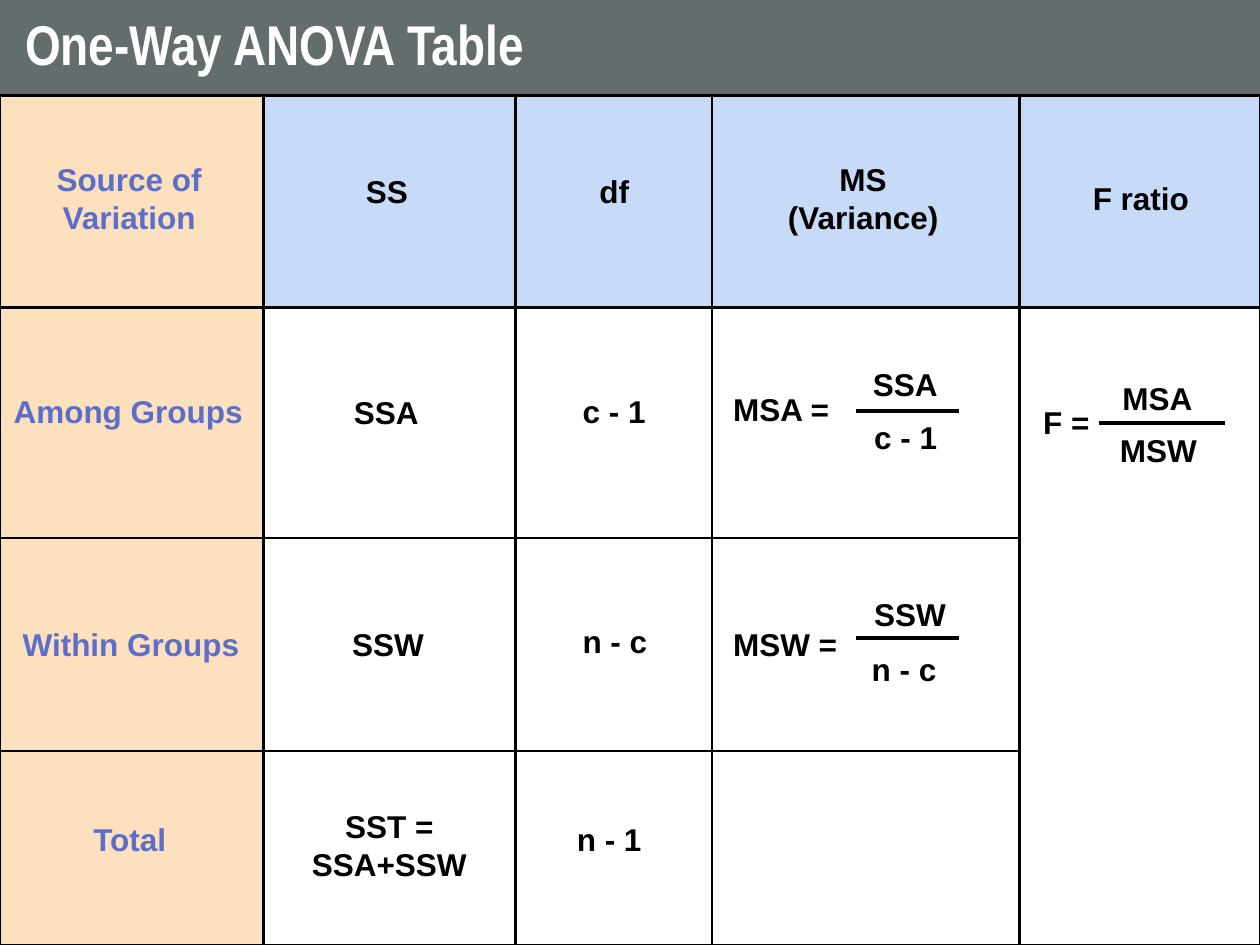
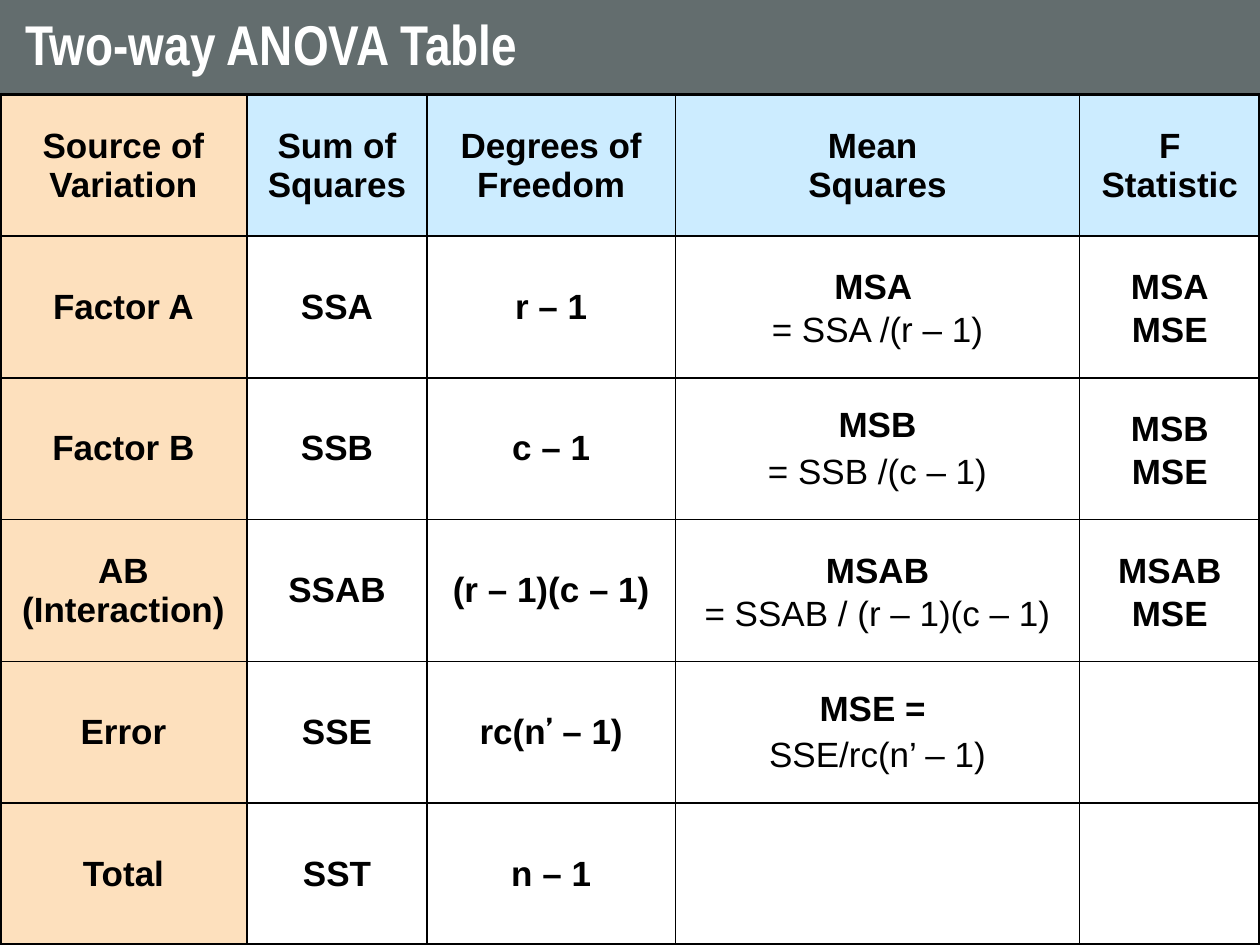
from lxml import etree
from pptx import Presentation
from pptx.dml.color import RGBColor
from pptx.enum.shapes import MSO_CONNECTOR, MSO_SHAPE
from pptx.enum.text import MSO_ANCHOR, MSO_AUTO_SIZE, PP_ALIGN
from pptx.oxml.ns import qn
from pptx.util import Pt

PX = 9144  # 100 px to the inch
RECT, STRAIGHT = MSO_SHAPE.RECTANGLE, MSO_CONNECTOR.STRAIGHT
LEFT, CENTER = PP_ALIGN.LEFT, PP_ALIGN.CENTER
MIDDLE, NO_FIT = MSO_ANCHOR.MIDDLE, MSO_AUTO_SIZE.NONE

BLACK, WHITE = "000000", "FFFFFF"
SLATE, PEACH, PURPLE = "636D6E", "FDE0BD", "5D6EC9"
BLUE, SKY = "C7DAF7", "CCECFF"


def rgb(value):
    return RGBColor.from_string(value)


def add_text(p, text, size, color=BLACK, bold=True, font="Arial"):
    for i, part in enumerate(text.split("\n")):
        if i:
            p.add_line_break()
        if part:
            r = p.add_run()
            r.text = part
            r.font.size, r.font.bold, r.font.name = Pt(size), bold, font
            r.font.color.rgb = rgb(color)


prs = Presentation()
prs.slide_width, prs.slide_height = 1000 * PX, 750 * PX

# Title bands
slides = []
for title in ("One-Way ANOVA Table", "Two-way ANOVA Table"):
    s = prs.slides.add_slide(prs.slide_layouts[5])
    sp = s.shapes.title
    sp.left, sp.top, sp.width, sp.height = 0, 0, 1000 * PX, 75 * PX
    sp.fill.solid()
    sp.fill.fore_color.rgb = rgb(SLATE)
    tf = sp.text_frame
    tf.auto_size, tf.vertical_anchor, tf.word_wrap = NO_FIT, MIDDLE, True
    tf.margin_left = tf.margin_right = 20 * PX
    tf.margin_top = tf.margin_bottom = 10 * PX
    p = tf.paragraphs[0]
    p.alignment, p.line_spacing = LEFT, 0.9
    add_text(p, title, 32, WHITE, font="Arial Narrow")
    slides.append(s)
one_way, two_way = slides

# One-way: header band, source column and outer frame
for x, y, w, h, fill in ((209, 76, 791, 168, BLUE),
                         (0, 76, 209, 674, PEACH),
                         (0, 76, 1000, 674, None)):
    sp = one_way.shapes.add_shape(RECT, x * PX, y * PX, w * PX, h * PX)
    sp.shadow.inherit = False
    if fill:
        sp.fill.solid()
        sp.fill.fore_color.rgb = rgb(fill)
        sp.line.fill.background()
    else:
        sp.fill.background()
        sp.line.color.rgb = rgb(BLACK)
        sp.line.width = Pt(1.5)

# One-way: grid lines and fraction bars
lines = [(x, 76, x, 750, 1.5) for x in (209, 409, 565, 809)]
lines += [(0, y, end, y, 1.5) for y, end in ((244, 1000), (427, 809), (596, 809))]
lines += [(x, y, end, y, 2.25) for x, y, end in ((679, 326, 761), (679, 506, 761),
                                                (872, 336, 972))]
for x1, y1, x2, y2, width in lines:
    cn = one_way.shapes.add_connector(STRAIGHT, x1 * PX, y1 * PX, x2 * PX, y2 * PX)
    cn.line.color.rgb = rgb(BLACK)
    cn.line.width = Pt(width)
    etree.SubElement(cn._element.spPr, qn("a:effectLst"))

# One-way: labels as left, top, width, text, alignment, colour
labels = [
    (-2, 122, 209, "Source of Variation", CENTER, PURPLE),
    (208, 132, 198, "SS", CENTER, BLACK),
    (408, 132, 159, "df", CENTER, BLACK),
    (564, 122, 242, "MS\n(Variance)", CENTER, BLACK),
    (809, 137, 193, "F ratio", CENTER, BLACK),
    (1, 306, 213, "Among Groups", LEFT, PURPLE),
    (206, 307, 201, "SSA", CENTER, BLACK),
    (412, 306, 151, "c - 1", CENTER, BLACK),
    (572, 305, 110, "MSA =", LEFT, BLACK),
    (683, 285, 96, "SSA", LEFT, BLACK),
    (684, 327, 94, "c - 1", LEFT, BLACK),
    (818, 315, 75, "F =", LEFT, BLACK),
    (881, 296, 102, "MSA", LEFT, BLACK),
    (879, 337, 110, "MSW", LEFT, BLACK),
    (1, 491, 206, "Within Groups", CENTER, PURPLE),
    (208, 491, 200, "SSW", CENTER, BLACK),
    (409, 489, 158, "n - c", CENTER, BLACK),
    (572, 491, 110, "MSW =", LEFT, BLACK),
    (684, 467, 104, "SSW", LEFT, BLACK),
    (682, 511, 79, "n - c", LEFT, BLACK),
    (-1, 646, 208, "Total", CENTER, PURPLE),
    (229, 636, 160, "SST =\nSSA+SSW", CENTER, BLACK),
    (406, 646, 155, "n - 1", CENTER, BLACK),
]
for x, y, w, text, align, color in labels:
    h = 70 if "\n" in text or text.startswith("Source") else 40
    tf = one_way.shapes.add_textbox(x * PX, y * PX, w * PX, h * PX).text_frame
    tf.word_wrap = True
    for i, line in enumerate(text.split("\n")):
        p = tf.add_paragraph() if i else tf.paragraphs[0]
        p.alignment = align
        add_text(p, line, 18, color)

# Two-way: each cell is a list of paragraphs, each a list of (text, bold, font) runs
B, N = (True, "Arial"), (False, "Arial")
rows = [
    ["Source of\nVariation", "Sum of\nSquares", "Degrees of Freedom", "Mean \nSquares",
     "F\nStatistic"],
    ["Factor A", "SSA", "r – 1", [[("MSA \n", *B), ("= SSA /(r – 1)", *N)]], "MSA\nMSE"],
    ["Factor B", "SSB", "c – 1", [[("MSB", *B)], [("= SSB /(c – 1)", *N)]], "MSB\nMSE"],
    ["AB\n(Interaction)", "SSAB", "(r – 1)(c – 1)",
     [[("MSAB\n", *B), ("= SSAB / (r – 1)(c – 1)", *N)]], "MSAB\nMSE"],
    ["Error", "SSE", [[("rc(n", *B), ("’", True, "Cabin"), (" – 1)", *B)]],
     [[("MSE = ", *B)], [("SSE/rc(n’ – 1)", *N)]], ""],
    ["Total", "SST", "n – 1", "", ""],
]
widths = (196, 143, 197, 321, 143)
last_row, last_col = len(rows) - 1, len(widths) - 1
table = two_way.shapes.add_table(len(rows), len(widths), 0, 75 * PX,
                                 1000 * PX, 675 * PX).table
table.first_row = table.horz_banding = False
for column, width in zip(table.columns, widths):
    column.width = width * PX
for row in table.rows:
    row.height = 675 * PX // len(rows)

for i, row in enumerate(rows):
    for j, content in enumerate(row):
        cell = table.cell(i, j)
        cell.vertical_anchor = MIDDLE

        # Borders, heavier round the outside
        tcPr = cell._tc.get_or_add_tcPr()
        for side, outer in (("L", j == 0), ("R", j == last_col),
                            ("T", i == 0), ("B", i == last_row)):
            ln = etree.SubElement(tcPr, qn("a:ln" + side), w=str(Pt(2.25 if outer else 1)))
            fill = etree.SubElement(ln, qn("a:solidFill"))
            etree.SubElement(fill, qn("a:srgbClr"), val=BLACK)

        # Fill
        if j == 0 or i == 0:
            cell.fill.solid()
            cell.fill.fore_color.rgb = rgb(SKY if j else PEACH)
        else:
            cell.fill.background()

        # Text
        paragraphs = [[(content, *B)]] if isinstance(content, str) else content
        for k, runs in enumerate(paragraphs):
            p = cell.text_frame.add_paragraph() if k else cell.text_frame.paragraphs[0]
            p.alignment = CENTER
            if k:
                p.space_before = Pt(4)
            if i and j >= 3 and "\n" in runs[0][0]:
                p.line_spacing = 1.1
            for text, bold, font in runs:
                add_text(p, text, 20, bold=bold, font=font)

prs.save("out.pptx")
